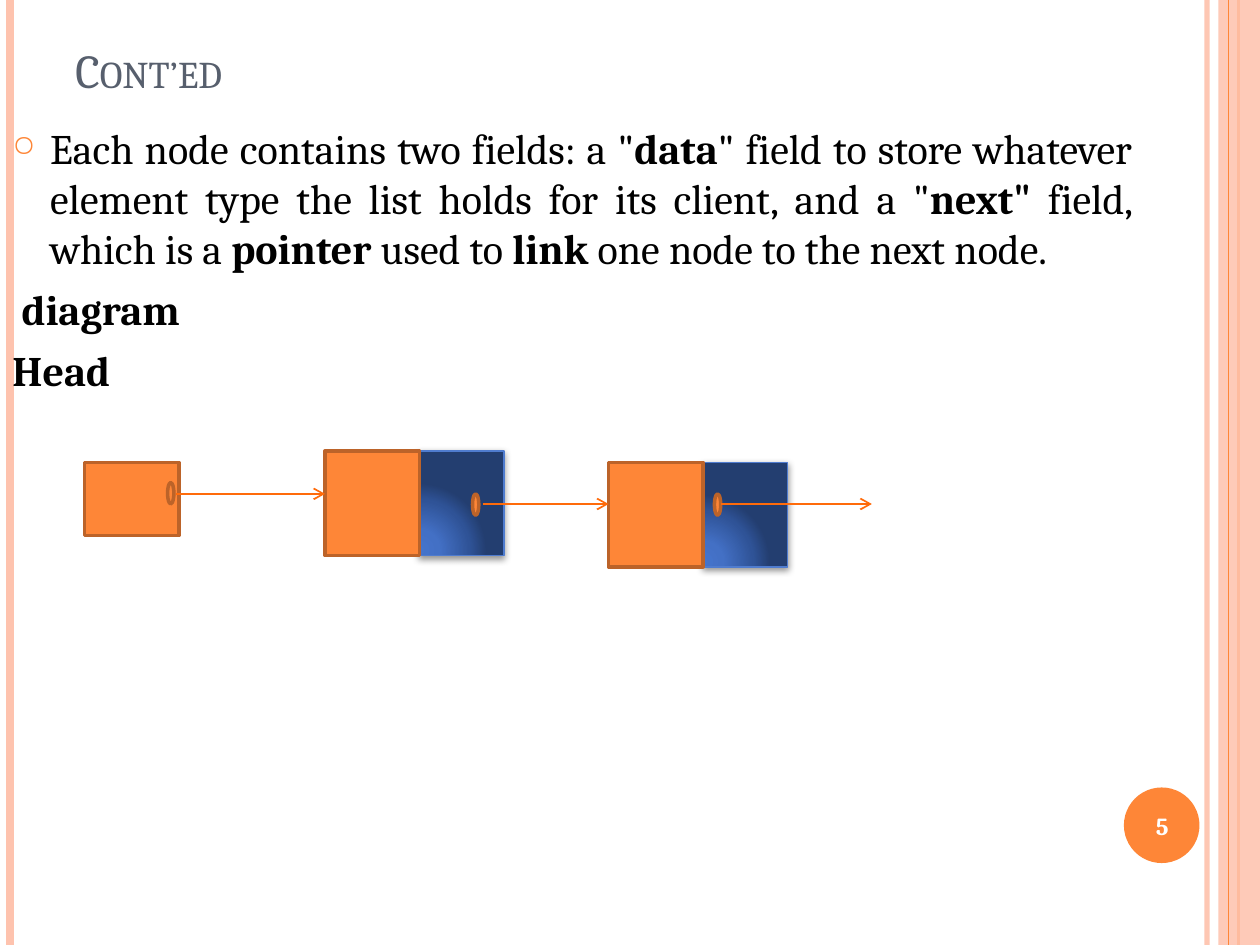
from lxml import etree
from pptx import Presentation
from pptx.dml.color import RGBColor
from pptx.enum.shapes import MSO_CONNECTOR as Connector, MSO_SHAPE as Shape
from pptx.enum.text import MSO_ANCHOR as Anchor, PP_ALIGN as Align
from pptx.oxml import parse_xml
from pptx.oxml.ns import nsdecls, qn
from pptx.util import Inches, Pt

WIDTH, HEIGHT = 10, 7.5
FONT = "Cambria"
ORANGE = RGBColor(0xFE, 0x86, 0x37)
PEACH = RGBColor(0xFE, 0xC3, 0xAE)
BROWN = RGBColor(0xBC, 0x63, 0x29)
ARROW = RGBColor(0xFF, 0x6B, 0x0A)
BLUE = RGBColor(0x4F, 0x7C, 0xCF)
SLATE = RGBColor(0x57, 0x5F, 0x6D)
BLACK = RGBColor(0, 0, 0)
WHITE = RGBColor(255, 255, 255)
BLUE_STOPS = ((0, "4574CC"), (30, "4370C5"), (75, "2F5397"), (100, "233E70"))
DATA_WIDTH, NEXT_WIDTH, NODE_HEIGHT = 0.75, 0.67, 0.83
DOT_WIDTH, DOT_HEIGHT = 0.05, 0.17

BODY = (
    (("Each node contains two fields: a \"", False), ("data", True),
     ("\" field to store whatever element type the list holds for its client, and a \"", False),
     ("next\" ", True), ("field, which is a ", False), ("pointer ", True),
     ("used to ", False), ("link", True), (" one node to the next node.", False)),
    ((" diagram", True),),
    (("Head", True),),
)


def add_element(parent, tag, **attributes):
    element = etree.SubElement(parent, qn(tag))
    for name, value in attributes.items():
        element.set(name, str(value))
    return element


def set_opacity(properties, percent):
    color = next(properties.iter(qn("a:srgbClr")))
    add_element(color, "a:alpha", val=percent * 1000)


def add_line(page, start, end, color, weight, arrow=False, opacity=100):
    points = [Inches(value) for value in (*start, *end)]
    line = page.shapes.add_connector(Connector.STRAIGHT, *points)
    line.line.color.rgb = color
    line.line.width = Pt(weight)
    properties = line._element.spPr
    if arrow:
        add_element(properties.find(qn("a:ln")), "a:tailEnd", type="arrow")
    if opacity < 100:
        set_opacity(properties, opacity)
    add_element(properties, "a:effectLst")


def add_block(page, kind, left, top, width, height, fill=ORANGE, outline=None, weight=2):
    block = page.shapes.add_shape(kind, *map(Inches, (left, top, width, height)))
    block.shadow.inherit = False
    block.fill.solid()
    block.fill.fore_color.rgb = fill
    if outline is None:
        block.line.fill.background()
    else:
        block.line.color.rgb = outline
        block.line.width = Pt(weight)
    return block


def add_text(page, left, top, width, height, anchor=Anchor.TOP):
    box = page.shapes.add_textbox(*map(Inches, (left, top, width, height)))
    box.text_frame.word_wrap = True
    box.text_frame.vertical_anchor = anchor
    return box.text_frame


def style_run(span, size, color, bold=False):
    span.font.name = FONT
    span.font.size = Pt(size)
    span.font.color.rgb = color
    span.font.bold = bold


def add_frame(page):
    for x, color, weight, opacity in ((9.58, PEACH, 3, 93), (0.08, PEACH, 4.5, 100),
                                      (9.83, ORANGE, 1.5, 100)):
        add_line(page, (x, 0), (x, HEIGHT), color, weight, opacity=opacity)
    band = add_block(page, Shape.RECTANGLE, 9.67, 0, 0.33, HEIGHT, PEACH)
    set_opacity(band._element.spPr, 87)
    add_line(page, (9.75, 0), (9.75, HEIGHT), ORANGE, 0.75)
    add_block(page, Shape.OVAL, 8.92, 6.25, 0.6, 0.6)


def add_label(page, area, text, size, color, anchor, align, bold=False):
    para = add_text(page, *area, anchor).paragraphs[0]
    para.text = text
    para.alignment = align
    style_run(para.runs[0], size, color, bold)
    return para.runs[0]


def add_body(page):
    frame = add_text(page, 0, 0.92, 9.08, 6.16)
    for index, spans in enumerate(BODY):
        para = frame.add_paragraph() if index else frame.paragraphs[0]
        para.alignment = Align.JUSTIFY
        para.space_before = Pt(6)
        properties = para._p.get_or_add_pPr()
        properties.set("marL", str(Inches(0.3)))
        properties.set("indent", str(-Inches(0.3)))
        if index == 0:
            color = add_element(properties, "a:buClr")
            add_element(color, "a:srgbClr", val=ORANGE)
            add_element(properties, "a:buSzPct", val=70000)
            add_element(properties, "a:buChar", char="○")
        for text, bold in spans:
            span = para.add_run()
            span.text = text
            style_run(span, 24, BLACK, bold)


def shade_blue(block):
    block.fill.gradient()
    properties = block._element.spPr
    stops = "".join(f'<a:gs pos="{position * 1000}"><a:srgbClr val="{color}"/></a:gs>'
                    for position, color in BLUE_STOPS)
    gradient = parse_xml(
        f'<a:gradFill {nsdecls("a")} rotWithShape="1"><a:gsLst>{stops}</a:gsLst>'
        '<a:path path="circle"><a:fillToRect l="5000" t="100000" r="120000" b="10000"/>'
        '</a:path></a:gradFill>')
    properties.replace(properties.find(qn("a:gradFill")), gradient)
    shadow = add_element(properties.find(qn("a:effectLst")), "a:outerShdw", blurRad=Pt(4),
                         dist=Pt(1.6), dir=90 * 60000, algn="ctr", rotWithShape=0)
    add_element(add_element(shadow, "a:srgbClr", val="000000"), "a:alpha", val=42000)


def add_node(page, left, top):
    next_field = add_block(page, Shape.RECTANGLE, left + DATA_WIDTH, top, NEXT_WIDTH,
                           NODE_HEIGHT, outline=BLUE, weight=1)
    shade_blue(next_field)
    add_block(page, Shape.RECTANGLE, left, top, DATA_WIDTH, NODE_HEIGHT, outline=BROWN)


def add_diagram(page):
    add_block(page, Shape.RECTANGLE, 0.67, 3.67, DATA_WIDTH, 0.58, outline=BROWN)
    for left, top in ((2.58, 3.58), (4.83, 3.67)):
        add_node(page, left, top)
    for left, top in ((1.33, 3.83), (3.75, 3.92), (5.67, 3.92)):
        add_block(page, Shape.OVAL, left, top, DOT_WIDTH, DOT_HEIGHT, outline=BROWN)
    for start, end, y in ((1.4, 2.58, 3.92), (3.83, 4.83, 4), (5.72, 6.92, 4)):
        add_line(page, (start, y), (end, y), ARROW, 1, arrow=True)


def main():
    deck = Presentation()
    deck.slide_width, deck.slide_height = Inches(WIDTH), Inches(HEIGHT)
    page = deck.slides.add_slide(deck.slide_layouts[6])
    add_frame(page)
    title = add_label(page, (0.5, 0.3, 8.17, 0.53), "Cont’ed", 27, SLATE,
                      Anchor.BOTTOM, Align.LEFT)
    title._r.get_or_add_rPr().set("cap", "small")
    add_body(page)
    add_label(page, (8.89, 6.27, 0.67, 0.57), "5", 14, WHITE, Anchor.MIDDLE,
              Align.CENTER, bold=True)
    add_diagram(page)
    deck.save("out.pptx")


main()
